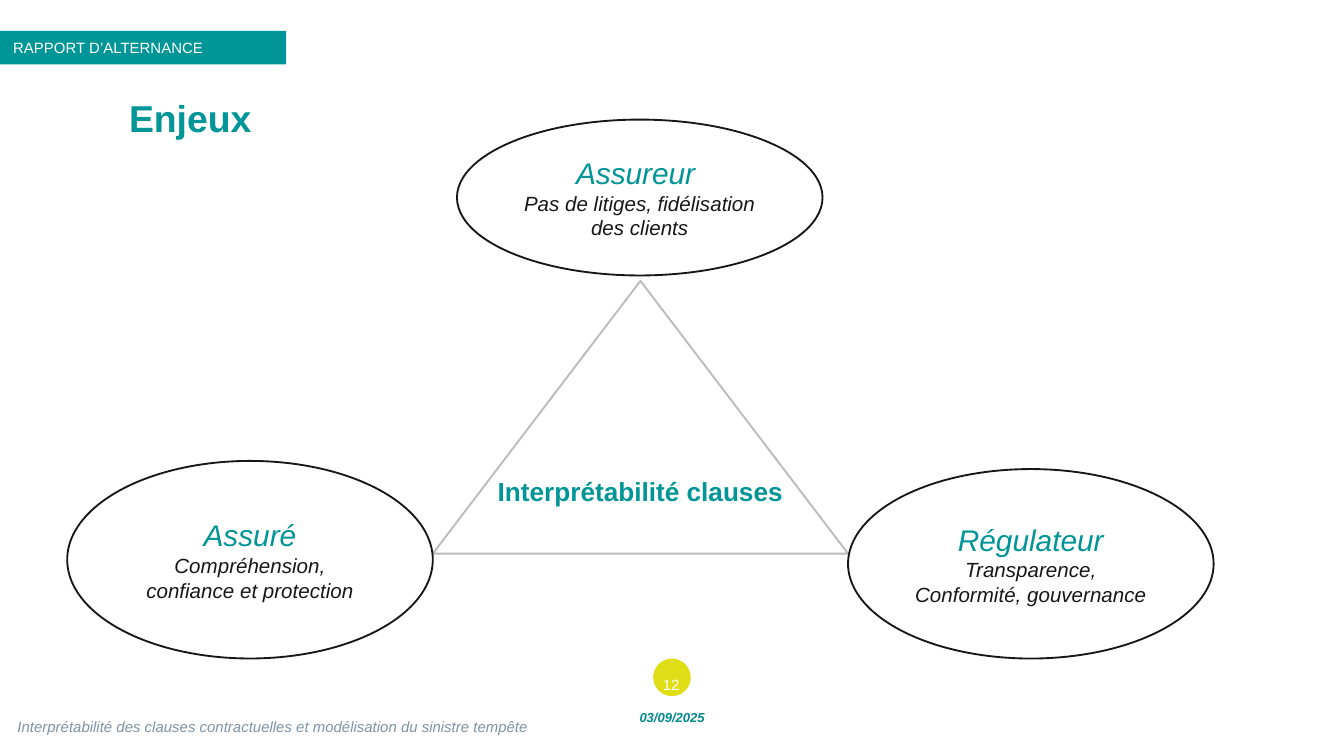
from pptx import Presentation
from pptx.dml.color import RGBColor
from pptx.enum.shapes import MSO_SHAPE as SHAPE
from pptx.enum.text import MSO_ANCHOR as ANCHOR, PP_ALIGN as ALIGN
from pptx.util import Inches, Pt

TEAL, BLACK, WHITE = "009597", "181717", "FFFFFF"


def add_shape(kind, box, fill, line=None):
    sp = s.shapes.add_shape(kind, *map(Inches, box))
    sp.shadow.inherit = False
    sp.fill.solid()
    sp.fill.fore_color.rgb = RGBColor.from_string(fill)
    if line:
        sp.line.color.rgb = RGBColor.from_string(line)
        sp.line.width = Pt(1)
    else:
        sp.line.fill.background()
    return sp


def add_text(text, box=None, sp=None, size=8, color=TEAL, bold=False, italic=False,
             align=ALIGN.CENTER, anchor=ANCHOR.MIDDLE, inset=(0.1, 0.05), spacing=None):
    """Write a paragraph in a new text box, or add one to the given shape."""
    sp = sp or s.shapes.add_textbox(*map(Inches, box))
    tf = sp.text_frame
    tf.word_wrap = True
    tf.vertical_anchor = anchor
    tf.margin_left = tf.margin_right = Inches(inset[0])
    tf.margin_top = tf.margin_bottom = Inches(inset[1])
    p = tf.add_paragraph() if tf.text else tf.paragraphs[0]
    p.alignment = align
    if spacing:
        p.line_spacing = spacing
    r = p.add_run()
    r.text = text
    r.font.name = "Arial"
    r.font.size = Pt(size)
    r.font.bold = bold
    r.font.italic = italic
    r.font.color.rgb = RGBColor.from_string(color)


# Blank 16:9 slide
prs = Presentation()
prs.slide_width = Inches(10)
prs.slide_height = prs.slide_width * 9 // 16
s = prs.slides.add_slide(prs.slide_layouts[6])
tight = (0.04, 0.04)

# Footer: date, report title and page number
add_shape(SHAPE.OVAL, (4.86, 4.9, 0.28, 0.28), "E0DE16")
add_text("03/09/2025", (4.64, 5.25, 0.72, 0.18), size=7, color="008990",
         bold=True, italic=True, inset=tight)
add_text("Interprétabilité des clauses contractuelles et modélisation du sinistre tempête",
         (0.09, 5.28, 4.26, 0.25), color="7E93A7", italic=True, align=ALIGN.LEFT, inset=tight)
add_text("12", (4.76, 4.94, 0.47, 0.3), color=WHITE)

# Section banner and title
banner = add_shape(SHAPE.RECTANGLE, (0, 0.23, 2.13, 0.25), TEAL)
add_text("RAPPORT D’ALTERNANCE", sp=banner, color=WHITE, align=ALIGN.LEFT)
add_text("Enjeux", (0.92, 0.72, 8.8, 0.42), size=20, bold=True, align=ALIGN.LEFT,
         anchor=ANCHOR.TOP, inset=tight, spacing=0.85)

# Central triangle
add_shape(SHAPE.ISOSCELES_TRIANGLE, (3.22, 2.09, 3.09, 2.03), WHITE, "BCBABA")

# One ellipse per stakeholder: left, top, height, name, stakes
stakeholders = [
    (3.4, 0.89, 1.16, "Assureur ", "Pas de litiges, fidélisation des clients"),
    (0.5, 3.43, 1.47, "Assuré", "Compréhension, confiance et protection"),
    (6.31, 3.49, 1.41, "Régulateur", "Transparence, Conformité, gouvernance"),
]
for left, top, height, name, stakes in stakeholders:
    oval = add_shape(SHAPE.OVAL, (left, top, 2.72, height), WHITE, BLACK)
    add_text(name, sp=oval, size=16, italic=True, inset=(0.09, 0.05))
    add_text(stakes, sp=oval, size=11, color=BLACK, italic=True, inset=(0.09, 0.05))

# Label inside the triangle
add_text("Interprétabilité clauses", (3.22, 3.49, 3.09, 0.34), size=14, bold=True,
         anchor=ANCHOR.TOP)

prs.save("out.pptx")
